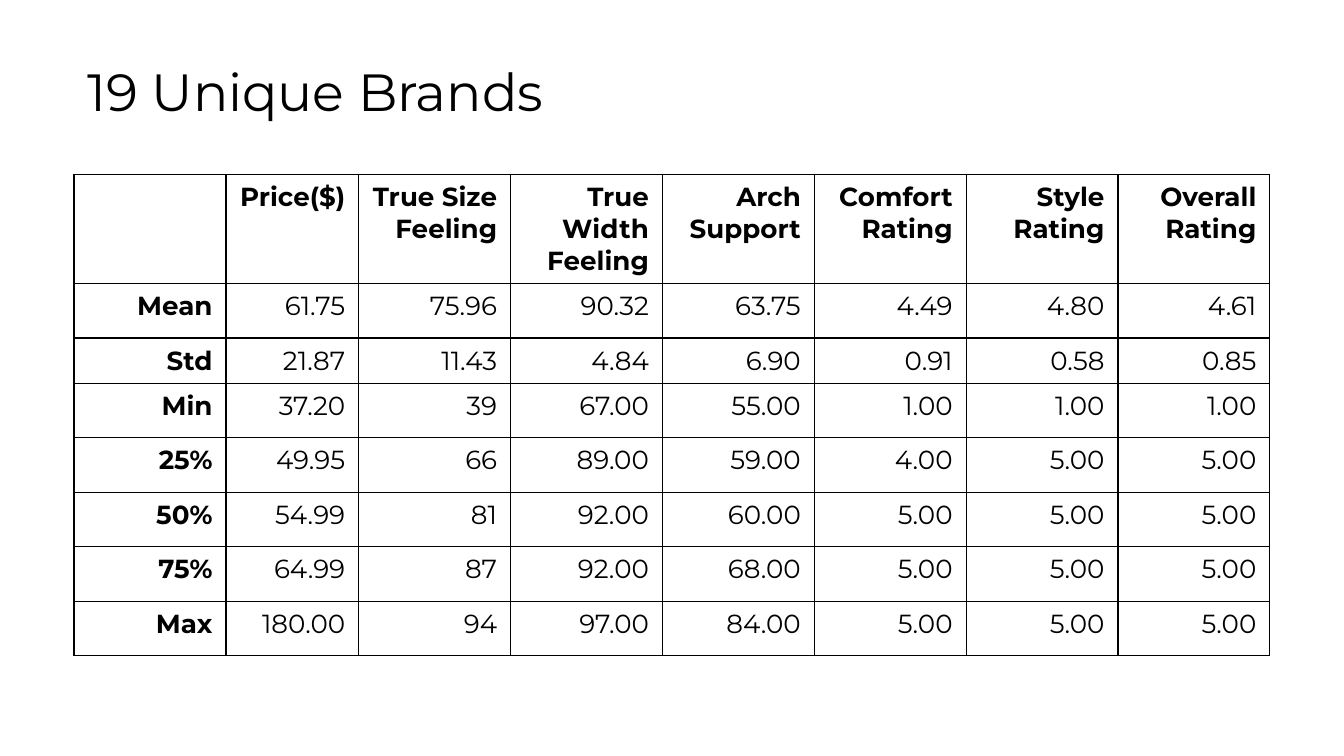
from lxml.etree import SubElement
from pptx import Presentation
from pptx.dml.color import RGBColor
from pptx.enum.text import MSO_ANCHOR, PP_ALIGN
from pptx.oxml.ns import qn
from pptx.util import Cm, Pt

BLACK = RGBColor(0, 0, 0)
FONT = "Montserrat"
LEFT = Cm(1.4)
COLUMN_WIDTHS = [2.87, 2.51] + [2.87] * 6
ROW_HEIGHTS = [2.06, 1.03, 0.85] + [1.03] * 5

STATISTICS = [
    ["", "Price($)", "True Size Feeling", "True Width Feeling", "Arch Support",
     "Comfort Rating", "Style Rating", "Overall Rating"],
    ["Mean", "61.75", "75.96", "90.32", "63.75", "4.49", "4.80", "4.61"],
    ["Std", "21.87", "11.43", "4.84", "6.90", "0.91", "0.58", "0.85"],
    ["Min", "37.20", "39", "67.00", "55.00", "1.00", "1.00", "1.00"],
    ["25%", "49.95", "66", "89.00", "59.00", "4.00", "5.00", "5.00"],
    ["50%", "54.99", "81", "92.00", "60.00", "5.00", "5.00", "5.00"],
    ["75%", "64.99", "87", "92.00", "68.00", "5.00", "5.00", "5.00"],
    ["Max", "180.00", "94", "97.00", "84.00", "5.00", "5.00", "5.00"],
]


def write_text(tf, text, size=14, bold=False, align=PP_ALIGN.LEFT):
    p = tf.paragraphs[0]
    p.alignment = align
    p.font.size = Pt(size)
    if not text:
        return
    r = p.add_run()
    r.text = text
    r.font.name = FONT
    r.font.size = Pt(size)
    r.font.bold = bold
    r.font.color.rgb = BLACK


def set_borders(cell, width=0.75):
    """Draw all four sides; call before the fill, which must follow in the XML."""
    tc_pr = cell._tc.get_or_add_tcPr()
    for side in ("lnL", "lnR", "lnT", "lnB"):
        line = SubElement(tc_pr, qn(f"a:{side}"), w=str(Pt(width)))
        fill = SubElement(line, qn("a:solidFill"))
        SubElement(fill, qn("a:srgbClr"), val=str(BLACK))


def add_title(s, text):
    title = s.shapes.title
    title.left, title.top, title.width, title.height = LEFT, Cm(1), Cm(22.1), Cm(1.45)
    tf = title.text_frame
    tf.word_wrap = True
    tf.vertical_anchor = MSO_ANCHOR.TOP
    write_text(tf, text, size=28)


def add_statistics_table(s, rows):
    frame = s.shapes.add_table(len(rows), len(rows[0]), LEFT, Cm(3.3),
                               Cm(sum(COLUMN_WIDTHS)), Cm(sum(ROW_HEIGHTS)))
    table = frame.table
    table.first_row = table.horz_banding = False
    for column, width in zip(table.columns, COLUMN_WIDTHS):
        column.width = Cm(width)
    for row, height in zip(table.rows, ROW_HEIGHTS):
        row.height = Cm(height)
    for i, values in enumerate(rows):
        for j, value in enumerate(values):
            cell = table.cell(i, j)
            set_borders(cell)
            cell.fill.background()
            write_text(cell.text_frame, value, bold=i == 0 or j == 0,
                       align=PP_ALIGN.RIGHT)


def main():
    prs = Presentation()
    prs.slide_width, prs.slide_height = Cm(25.4), Cm(14.29)
    s = prs.slides.add_slide(prs.slide_layouts[5])
    add_title(s, "19 Unique Brands")
    add_statistics_table(s, STATISTICS)
    prs.save("out.pptx")


if __name__ == "__main__":
    main()
